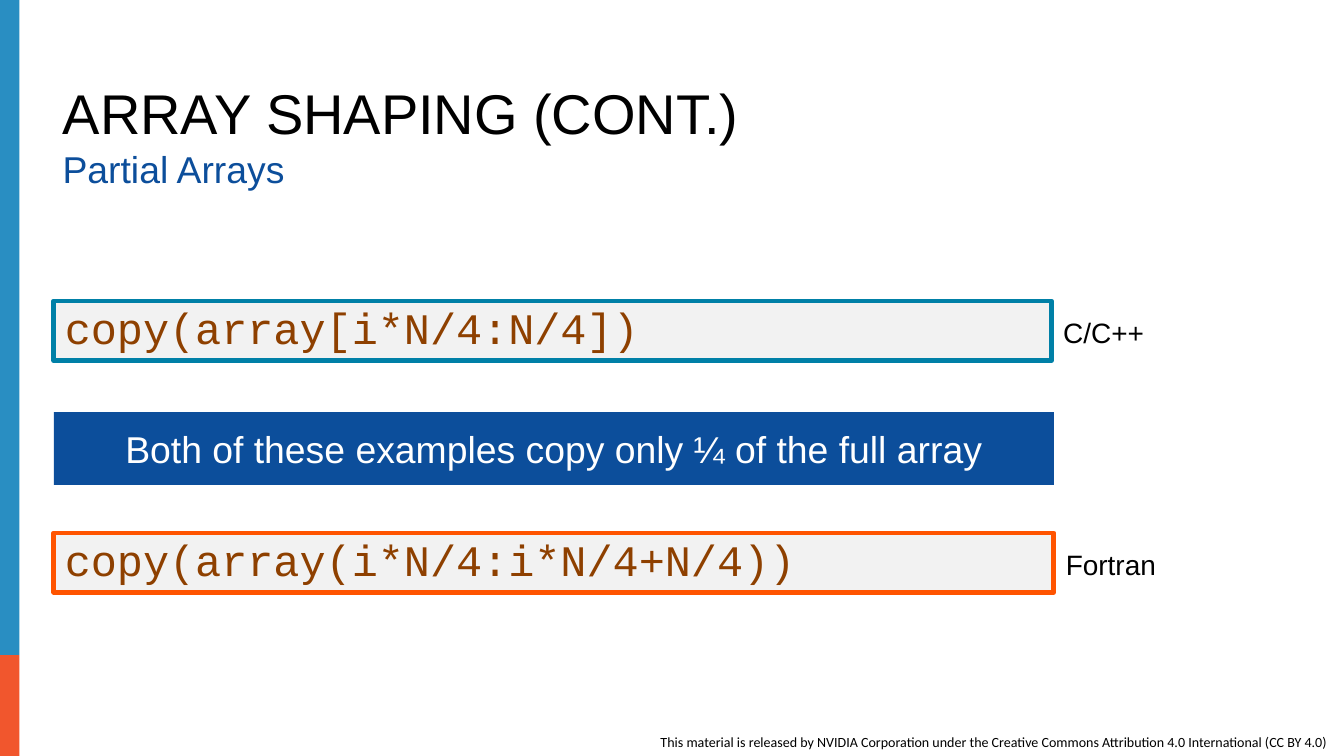
import pptx
import pptx.dml.color
import pptx.enum.shapes
import pptx.enum.text
import pptx.util

Cm = pptx.util.Cm
Pt = pptx.util.Pt
ALIGN = pptx.enum.text.PP_ALIGN
ANCHOR = pptx.enum.text.MSO_ANCHOR

COLORS = {
    "black": "000000",
    "white": "FFFFFF",
    "navy": "0C4E9B",
    "code": "8E4000",
    "code_fill": "F2F2F2",
    "c_border": "0080A7",
    "fortran_border": "FF5400",
    "bar_blue": "298EC2",
    "bar_orange": "F1562D",
}
BOX_LEFT = 1.22
BOX_WIDTH = 22.68
CODE_HEIGHT = 1.35
LABEL_HEIGHT = 0.94


def rgb(name):
    return pptx.dml.color.RGBColor.from_string(COLORS[name])


def write_text(shape, text, size, color, font="Arial", align=ALIGN.LEFT,
               anchor=ANCHOR.MIDDLE, wrap=True, spacing=0.9):
    frame = shape.text_frame
    frame.auto_size = pptx.enum.text.MSO_AUTO_SIZE.NONE
    frame.word_wrap = wrap
    frame.vertical_anchor = anchor
    paragraph = frame.paragraphs[0]
    paragraph.alignment = align
    paragraph.line_spacing = spacing
    run = paragraph.add_run()
    run.text = text
    run.font.name = font
    run.font.size = Pt(size)
    run.font.color.rgb = rgb(color)


def add_title(slide, text):
    title = slide.shapes.title
    title.left, title.top = Cm(1.17), Cm(1.8)
    title.width, title.height = Cm(27.71), Cm(1.65)
    write_text(title, text, 36, "black", anchor=ANCHOR.BOTTOM)


def add_text(slide, left, top, width, height, text, size, color, **options):
    box = slide.shapes.add_textbox(Cm(left), Cm(top), Cm(width), Cm(height))
    write_text(box, text, size, color, **options)


def add_rectangle(slide, left, top, width, height, fill, border=None):
    shape = slide.shapes.add_shape(
        pptx.enum.shapes.MSO_SHAPE.RECTANGLE,
        Cm(left), Cm(top), Cm(width), Cm(height))
    shape.shadow.inherit = False
    shape.fill.solid()
    shape.fill.fore_color.rgb = rgb(fill)
    if border:
        shape.line.color.rgb = rgb(border)
        shape.line.width = Pt(3)
    else:
        shape.line.fill.background()
    return shape


def add_code_example(slide, top, width, code, border, language, label_width):
    """Add a bordered line of code with its language named on the right."""
    box = add_rectangle(slide, BOX_LEFT, top, width, CODE_HEIGHT,
                        "code_fill", border)
    write_text(box, code, 28, "code", font="Courier New")
    add_text(slide, BOX_LEFT + width, top + 0.29, label_width, LABEL_HEIGHT,
             language, 18, "black", align=ALIGN.CENTER, wrap=False)


def main():
    presentation = pptx.Presentation()
    presentation.slide_width = Cm(30.48)
    presentation.slide_height = Cm(17.15)
    slide = presentation.slides.add_slide(presentation.slide_layouts[5])

    add_rectangle(slide, 0, 0, 0.44, 14.86, "bar_blue")
    add_rectangle(slide, 0, 14.86, 0.44, 2.29, "bar_orange")
    add_text(slide, 14.73, 16.51, 15.75, 0.64,
             "This material is released by NVIDIA Corporation under the "
             "Creative Commons Attribution 4.0 International (CC BY 4.0)",
             9, "black", font="Calibri", anchor=ANCHOR.TOP, wrap=False,
             spacing=1.0)

    add_title(slide, "ARRAY SHAPING (CONT.)")
    add_text(slide, 1.17, 3.3, 27.71, 1.45, "Partial Arrays", 24, "navy",
             anchor=ANCHOR.TOP)

    add_code_example(slide, 6.83, 22.63, "copy(array[i*N/4:N/4])",
                     "c_border", "C/C++", 2.36)
    add_code_example(slide, 12.09, BOX_WIDTH, "copy(array(i*N/4:i*N/4+N/4))",
                     "fortran_border", "Fortran", 2.59)
    banner = add_rectangle(slide, BOX_LEFT, 9.35, BOX_WIDTH, 1.65, "navy")
    write_text(banner, "Both of these examples copy only ¼ of the full array",
               24, "white", align=ALIGN.CENTER, spacing=1.0)

    presentation.save("out.pptx")


if __name__ == "__main__":
    main()
